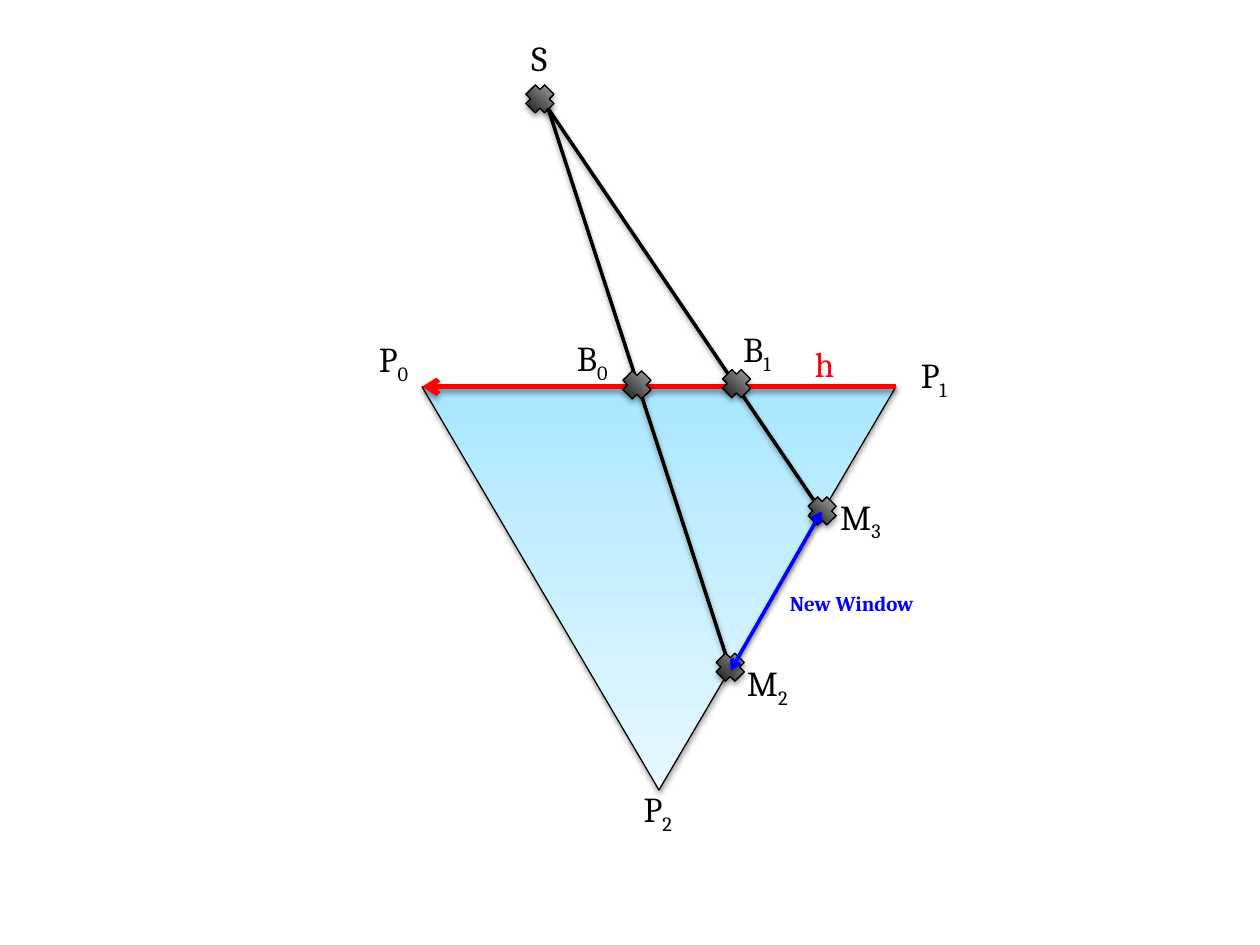
from typing import NamedTuple

from lxml import etree
from pptx import Presentation
from pptx.dml.color import RGBColor
from pptx.enum.shapes import MSO_CONNECTOR, MSO_SHAPE
from pptx.enum.text import MSO_AUTO_SIZE, PP_ALIGN
from pptx.oxml.ns import qn
from pptx.util import Inches, Pt

TRIANGLE, CROSS = MSO_SHAPE.ISOSCELES_TRIANGLE, MSO_SHAPE.CROSS
STRAIGHT = MSO_CONNECTOR.STRAIGHT
LEFT, CENTER = PP_ALIGN.LEFT, PP_ALIGN.CENTER
GROW = MSO_AUTO_SIZE.SHAPE_TO_FIT_TEXT

BLACK = RGBColor(0, 0, 0)
RED = RGBColor(0xFF, 0, 0)
BLUE = RGBColor(0, 0, 0xFF)
WINDOW_STOPS = [
    (0, RGBColor(0xA7, 0xE6, 0xFF)),
    (35, RGBColor(0xC1, 0xED, 0xFF)),
    (100, RGBColor(0xE7, 0xF8, 0xFF)),
]
MARKER_STOPS = [(0, BLACK), (100, RGBColor(0xBD, 0xBD, 0xBD))]
FONT = "Cambria"
MARKER_SIZE = 0.21


class Label(NamedTuple):
    text: str
    left: float
    top: float
    width: float = 0.57
    subscript: str = ""
    color: RGBColor = BLACK


class Ray(NamedTuple):
    start: tuple[float, float]
    end: tuple[float, float]
    color: RGBColor = BLACK
    width: float = 2
    arrows: tuple[str, ...] = ()


# Points of the construction
P0, P1 = (3.35, 3.07), (7.11, 3.07)
SOURCE = (4.35, 0.86)
M2, M3 = (5.8, 5.32), (6.52, 4.06)

LABELS = [
    Label("P", 2.91, 2.63, subscript="0"),
    Label("P", 7.21, 2.76, subscript="1"),
    Label("P", 5.01, 6.2, subscript="2"),
    Label("h", 6.37, 2.67, color=RED),
    Label("S", 4.12, 0.24, 0.3),
    Label("B", 4.48, 2.62, 0.53, "0"),
    Label("B", 5.8, 2.55, 0.49, "1"),
    Label("M", 6.57, 3.88, 0.53, "3"),
    Label("M", 5.83, 5.2, 0.53, "2"),
]
BASE_EDGE = Ray(P1, P0, RED, 3, ("tailEnd",))
SIGHT_LINES = [Ray(SOURCE, M2), Ray(SOURCE, M3)]
NEW_WINDOW = Ray(M3, M2, BLUE, 2, ("headEnd", "tailEnd"))
SOURCE_MARKER = (4.18, 0.68)
CROSSING_MARKERS = [(4.95, 2.95), (5.74, 2.94), (6.42, 3.95), (5.69, 5.19)]


def add_shadow(part, opacity: int, distance: float) -> None:
    """Give a shape or connector a soft shadow straight below it."""
    effects = etree.SubElement(part._element.spPr, qn("a:effectLst"))
    shadow = etree.SubElement(
        effects, qn("a:outerShdw"), blurRad=str(Pt(3.1)),
        dist=str(Pt(distance)), dir="5400000", rotWithShape="0")
    color = etree.SubElement(shadow, qn("a:srgbClr"), val=str(BLACK))
    etree.SubElement(color, qn("a:alpha"), val=str(opacity * 1000))


def add_solid(slide, kind, left: float, top: float, width: float, height: float,
              rotation: float, stops: list, opacity: int, distance: float) -> None:
    shape = slide.shapes.add_shape(
        kind, Inches(left), Inches(top), Inches(width), Inches(height))
    shape.rotation = rotation
    shape.fill.gradient()
    shape.fill.gradient_angle = 90
    stop_list = shape._element.spPr.find(".//" + qn("a:gsLst"))
    for default_stop in list(stop_list):
        stop_list.remove(default_stop)
    for position, color in stops:
        stop = etree.SubElement(stop_list, qn("a:gs"), pos=str(position * 1000))
        etree.SubElement(stop, qn("a:srgbClr"), val=str(color))
    shape.line.color.rgb = BLACK
    shape.line.width = Pt(0.75)
    add_shadow(shape, opacity, distance)


def add_marker(slide, left: float, top: float) -> None:
    add_solid(slide, CROSS, left, top, MARKER_SIZE, MARKER_SIZE,
              45.2, MARKER_STOPS, 35, 1.8)


def add_ray(slide, ray: Ray) -> None:
    points = [Inches(value) for value in ray.start + ray.end]
    connector = slide.shapes.add_connector(STRAIGHT, *points)
    connector.line.color.rgb = ray.color
    connector.line.width = Pt(ray.width)
    outline = connector._element.spPr.find(qn("a:ln"))
    for end in ray.arrows:
        etree.SubElement(outline, qn("a:" + end), type="arrow")
    add_shadow(connector, 38, 1.6)


def add_text(slide, text: str, left: float, top: float, width: float, *,
             height: float = 0.44, subscript: str = "", size: float = 20,
             color: RGBColor = BLACK, bold: bool = False, align=LEFT) -> None:
    box = slide.shapes.add_textbox(
        Inches(left), Inches(top), Inches(width), Inches(height))
    frame = box.text_frame
    frame.word_wrap = True
    frame.auto_size = GROW
    paragraph = frame.paragraphs[0]
    paragraph.alignment = align
    for content, baseline in ((text, 0), (subscript, -25)):
        if not content:
            continue
        run = paragraph.add_run()
        run.text = content
        run.font.name = FONT
        run.font.size = Pt(size)
        run.font.bold = bold
        run.font.color.rgb = color
        if baseline:
            run._r.get_or_add_rPr().set("baseline", str(baseline * 1000))


def main() -> None:
    presentation = Presentation()
    presentation.slide_width = Inches(10)
    presentation.slide_height = Inches(7.5)
    slide = presentation.slides.add_slide(presentation.slide_layouts[6])

    # Triangular window and its base edge
    add_solid(slide, TRIANGLE, *P0, 3.76, 3.2, 180, WINDOW_STOPS, 38, 1.6)
    add_ray(slide, BASE_EDGE)

    # Sight lines from the source, with markers on the crossings
    add_marker(slide, *SOURCE_MARKER)
    for sight_line in SIGHT_LINES:
        add_ray(slide, sight_line)
    for crossing in CROSSING_MARKERS:
        add_marker(slide, *crossing)

    # New window between the two lower crossings
    add_ray(slide, NEW_WINDOW)
    add_text(slide, "New Window", 6.08, 4.64, 1.36, height=0.3,
             size=12, color=BLUE, bold=True, align=CENTER)

    # Point and edge names
    for label in LABELS:
        add_text(slide, label.text, label.left, label.top, label.width,
                 subscript=label.subscript, color=label.color)

    presentation.save("out.pptx")


if __name__ == "__main__":
    main()
